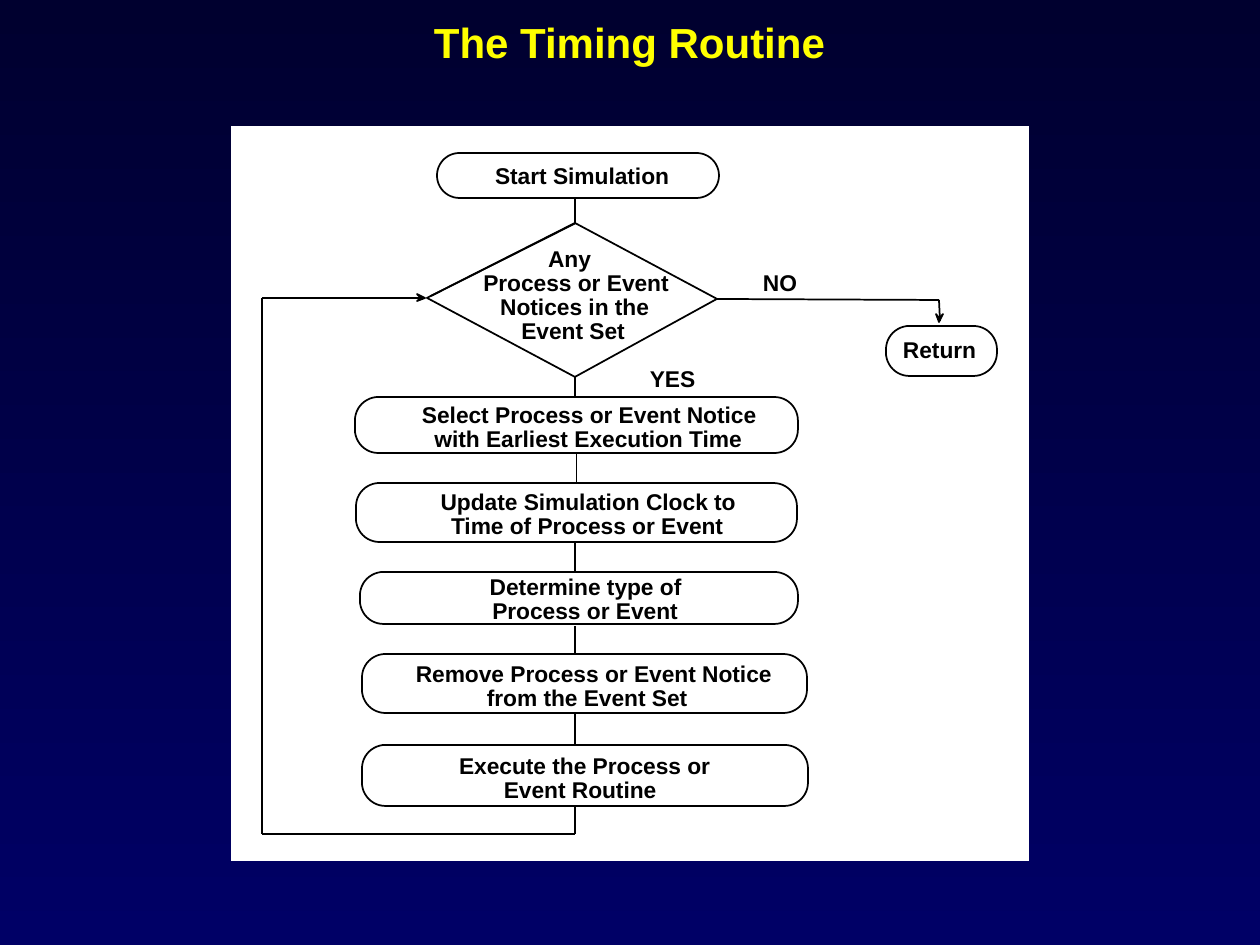
from lxml import etree
from pptx import Presentation
from pptx.dml.color import RGBColor
from pptx.enum.shapes import MSO_CONNECTOR, MSO_SHAPE
from pptx.enum.text import MSO_ANCHOR, MSO_AUTO_SIZE, PP_ALIGN
from pptx.oxml.ns import qn
from pptx.util import Pt

LINE = MSO_CONNECTOR.STRAIGHT
RECT, ROUND = MSO_SHAPE.RECTANGLE, MSO_SHAPE.ROUNDED_RECTANGLE
CENTER, MIDDLE = PP_ALIGN.CENTER, MSO_ANCHOR.MIDDLE
NONE, GROW = MSO_AUTO_SIZE.NONE, MSO_AUTO_SIZE.SHAPE_TO_FIT_TEXT
TOP, BOTTOM = 0, 2

SCALE = 914400 / 126
WHITE, BLACK, YELLOW = "FFFFFF", "000000", "FFFF00"
SKY = ["00002F", "000066"]
RADIUS, ROW, TALL = 23.5, 24, 28  # corner radius, line pitch, line height
SLACK = 3  # spare room on each side of a line of text

TITLE = "The Timing Routine"
PANEL = (231, 126, 798, 735)
BOXES = {  # left, top, width, height
    "start": (437, 153, 282, 45),
    "select": (355, 397, 443, 56),
    "update": (356, 483, 441, 59),
    "type": (360, 572, 438, 52),
    "remove": (362, 654, 445, 59),
    "run": (362, 745, 446, 61),
    "return": (886, 326, 111, 50),
}
LABELS = [  # top of the first line, then (text, left, width) per line
    (162, [("Start Simulation", 495, 174)]),
    (245, [("Any", 548, 43), ("Process or Event", 483, 186),
           ("Notices in the", 500, 149), ("Event Set", 521, 104)]),
    (401, [("Select Process or Event Notice", 422, 334),
           ("with Earliest Execution Time", 434, 308)]),
    (488, [("Update Simulation Clock to", 441, 294),
           ("Time of Process or Event", 451, 272)]),
    (573, [("Determine type of", 490, 191), ("Process or Event", 492, 186)]),
    (660, [("Remove Process or Event Notice", 416, 355),
           ("from the Event Set", 487, 200)]),
    (752, [("Execute the Process or", 459, 251), ("Event Routine", 504, 152)]),
    (336, [("Return", 903, 73)]),
    (365, [("YES", 650, 45)]),
    (269, [("NO", 763, 34)]),
]
MID = 575
STEPS = [(198, 223), (377, 397), (542, 572), (626, 654), (713, 745)]
ROUTES = [
    [(717, 299), (939, 300), (940, 321)],
    [(MID, 806), (MID, 834), (262, 834), (262, 298), (425, 298)],
    [(576, 223), (431, 296)],
]
DIAMOND = [(427, 298), (MID, 223), (717, 299), (MID, 377)]
HEADS = [
    [(417, 301), (425, 298), (417, 294), (421, 298)],
    [(943, 314), (939, 322), (936, 314), (939, 318)],
]


def px(*nums):
    return [round(n * SCALE) for n in nums]


def rgb(code):
    return RGBColor.from_string(code)


def paint(shape, fill=None, line=None):
    shape.shadow.inherit = False
    if fill:
        shape.fill.solid()
        shape.fill.fore_color.rgb = rgb(fill)
    else:
        shape.fill.background()
    if line:
        shape.line.color.rgb = rgb(line)
        shape.line.width = Pt(1)
    else:
        shape.line.fill.background()


def write(frame, text, size, color):
    frame.text = text
    para = frame.paragraphs[0]
    para.alignment = CENTER
    look = {"name": "Arial", "size": Pt(size), "bold": True}
    for key, val in look.items():
        setattr(para.font, key, val)
    para.font.color.rgb = rgb(color)


def link(start, end):
    line = shapes.add_connector(LINE, *px(*start, *end))
    line.line.color.rgb = rgb(BLACK)
    line.line.width = Pt(1)
    props = line._element.find(qn("p:spPr"))
    etree.SubElement(props, qn("a:effectLst"))
    return line


def outline(points, fill=None):
    form = shapes.build_freeform(*points[0], scale=SCALE)
    form.add_line_segments(points[1:], close=True)
    paint(form.convert_to_shape(), fill, BLACK)


def label(text, left, top, width):
    spot = px(left - SLACK, top, width + 2 * SLACK, TALL)
    frame = shapes.add_textbox(*spot).text_frame
    look = dict.fromkeys(
        ["margin_left", "margin_top", "margin_right", "margin_bottom"], 0)
    look.update(word_wrap=False, auto_size=GROW)
    for key, val in look.items():
        setattr(frame, key, val)
    write(frame, text, 13, BLACK)


deck = Presentation()
deck.slide_width, deck.slide_height = px(1260, 945)
slide = deck.slides.add_slide(deck.slide_layouts[5])

back = slide.background.fill
back.gradient()
back.gradient_angle = 270
for stop, code in zip(back.gradient_stops, SKY):
    stop.color.rgb = rgb(code)

title = slide.shapes.title
title.left, title.top, title.width, title.height = px(94, 10, 1071, 63)
title.text_frame.auto_size = NONE
title.text_frame.vertical_anchor = MIDDLE
write(title.text_frame, TITLE, 24, YELLOW)

shapes = slide.shapes.add_group_shape().shapes
paint(shapes.add_shape(RECT, *px(*PANEL)), WHITE)

nodes = {}
for name, spot in BOXES.items():
    box = nodes[name] = shapes.add_shape(ROUND, *px(*spot))
    box.adjustments[0] = min(0.5, RADIUS / spot[3])
    paint(box, WHITE, BLACK)

for top, low in STEPS:
    link((MID, top), (MID, low))
step = link((MID, 453), (MID, 483))
step.begin_connect(nodes["select"], BOTTOM)
step.end_connect(nodes["update"], TOP)
for route in ROUTES:
    for start, end in zip(route, route[1:]):
        link(start, end)

outline(DIAMOND)
for head in HEADS:
    outline(head, BLACK)

for top, lines in LABELS:
    for row, (text, left, width) in enumerate(lines):
        label(text, left, top + row * ROW, width)

deck.save("out.pptx")
